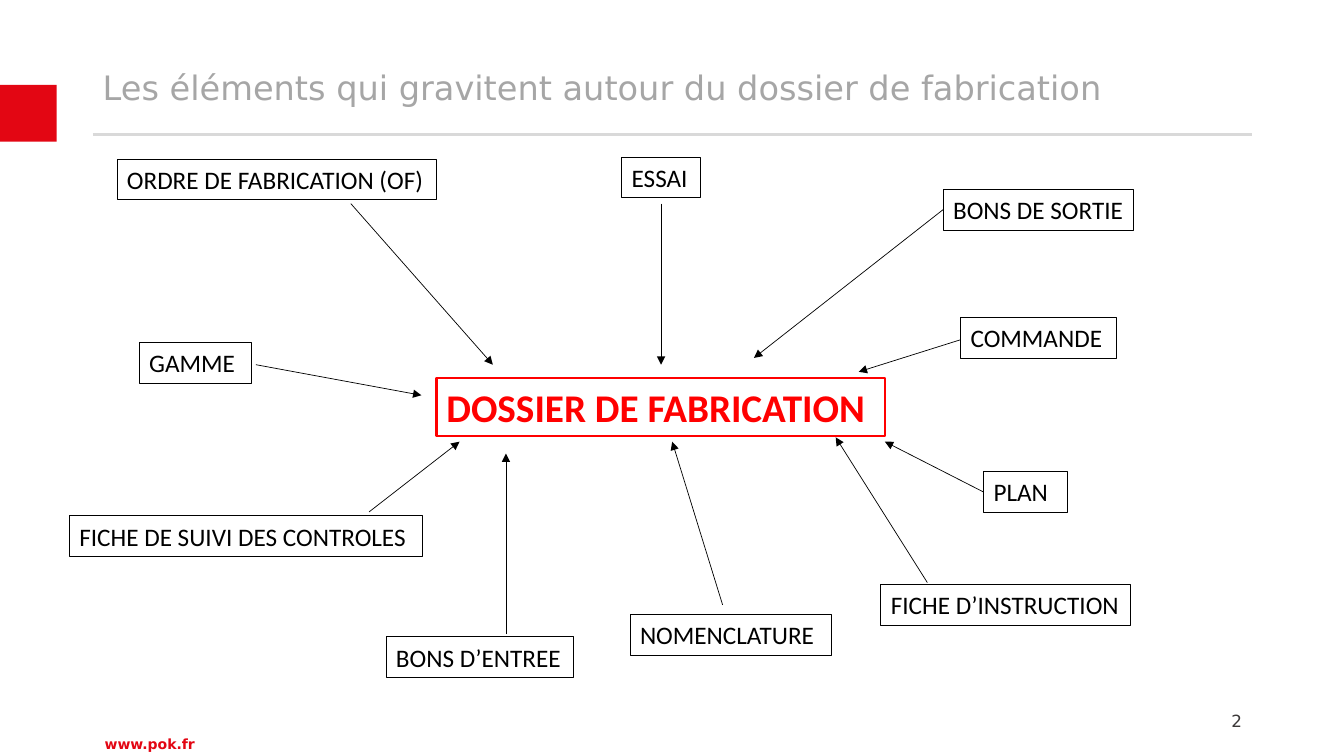
"""Builds the slide on the elements that surround the manufacturing file."""
from dataclasses import dataclass

from lxml.etree import SubElement
from pptx import Presentation
from pptx.dml.color import RGBColor as Rgb
from pptx.enum.shapes import MSO_CONNECTOR as Link, MSO_SHAPE as Preset
from pptx.enum.text import MSO_ANCHOR as Anchor, PP_ALIGN as Align
from pptx.oxml.ns import qn
from pptx.util import Cm, Pt

TITLE = "Les éléments qui gravitent autour du dossier de fabrication"
WEBSITE = "www.pok.fr"
PAGE = "2"
CENTRE = ("DOSSIER DE FABRICATION", (11, 9.53, 11.3, 1.45))

# label, (left, top, width), arrow start, arrow end
ELEMENTS = [
    ("ORDRE DE FABRICATION (OF)", (2.95, 4.01, 8.05), (8.84, 5.13), (12.42, 9.19)),
    ("GAMME", (3.51, 8.64, 2.84), (6.45, 9.19), (10.62, 9.96)),
    ("FICHE DE SUIVI DES CONTROLES", (1.75, 13, 8.89), (9.3, 12.9), (11.58, 11.13)),
    ("ESSAI", (15.67, 3.96, 1.98), (16.66, 5.13), (16.66, 9.19)),
    ("BONS DE SORTIE", (23.77, 4.78, 4.8), (23.77, 5.28), (19, 9.02)),
    ("BONS D’ENTREE", (9.73, 16.05, 4.72), (12.75, 15.98), (12.75, 11.43)),
    ("COMMANDE", (24.21, 8, 3.94), (24.21, 8.56), (21.64, 9.37)),
    ("PLAN", (24.79, 11.89, 2.11), (24.79, 12.4), (22.3, 11.13)),
    ("FICHE D’INSTRUCTION", (22.2, 14.73, 6.3), (23.37, 14.68), (21.06, 11.02)),
    ("NOMENCLATURE", (15.88, 15.49, 5.08), (18.21, 15.24), (16.94, 11.13)),
]
LABEL_HEIGHT = 1.03


@dataclass(frozen=True)
class Theme:
    brand: str = "E30613"
    accent: str = "FF0000"
    ink: str = "000000"
    title: str = "A6A6A6"
    rule: str = "D9D9D9"
    page: str = "3B3838"
    heading_font: str = "DejaVu Sans"
    label_font: str = "Calibri"
    title_size: int = 24
    centre_size: int = 28
    label_size: int = 18
    page_size: int = 12
    website_size: int = 10


THEME = Theme()


def add_text(slide, text, place, *, size, color, font=THEME.heading_font, bold=False,
             align=Align.LEFT, anchor=Anchor.TOP, spacing=None, border=None):
    box = slide.shapes.add_textbox(*map(Cm, place))
    if border:
        box.line.color.rgb = Rgb.from_string(color)
        box.line.width = Pt(border)
    frame = box.text_frame
    frame.word_wrap = True
    frame.vertical_anchor = anchor
    if align == Align.LEFT:
        frame.margin_right = 0
    paragraph = frame.paragraphs[0]
    paragraph.alignment = align
    if spacing:
        paragraph.line_spacing = spacing
    run = paragraph.add_run()
    run.text = text
    run.font.name = font
    run.font.size = Pt(size)
    run.font.bold = bold
    run.font.color.rgb = Rgb.from_string(color)


def add_line(slide, start, end, color, width, arrow=False):
    line = slide.shapes.add_connector(Link.STRAIGHT, *map(Cm, start + end))
    line.line.color.rgb = Rgb.from_string(color)
    line.line.width = Pt(width)
    if arrow:
        SubElement(line.line._get_or_add_ln(), qn("a:tailEnd"), type="triangle")
    SubElement(line._element.spPr, qn("a:effectLst"))


def add_frame(slide):
    marker = slide.shapes.add_shape(Preset.RECTANGLE, *map(Cm, (0, 2.14, 1.43, 1.43)))
    marker.shadow.inherit = False
    marker.fill.solid()
    marker.fill.fore_color.rgb = Rgb.from_string(THEME.brand)
    marker.line.fill.background()
    add_text(slide, WEBSITE, (2.16, 18.42, 3.23, 0.69), size=THEME.website_size,
             color=THEME.brand, bold=True, align=Align.CENTER)
    add_line(slide, (2.34, 3.39), (31.55, 3.39), THEME.rule, 1.5)
    add_text(slide, PAGE, (23.93, 17.65, 7.62, 1.02), size=THEME.page_size,
             color=THEME.page, align=Align.RIGHT, anchor=Anchor.MIDDLE)
    add_text(slide, TITLE, (2.34, 1.22, 29.21, 2.06), size=THEME.title_size,
             color=THEME.title, anchor=Anchor.MIDDLE, spacing=0.9)


def add_diagram(slide):
    centre, place = CENTRE
    add_text(slide, centre, place, size=THEME.centre_size, color=THEME.accent,
             font=THEME.label_font, bold=True, border=1.5)
    for label, corner_and_width, start, end in ELEMENTS:
        add_text(slide, label, (*corner_and_width, LABEL_HEIGHT), size=THEME.label_size,
                 color=THEME.ink, font=THEME.label_font, border=0.75)
        add_line(slide, start, end, THEME.ink, 0.5, arrow=True)


def main():
    deck = Presentation()
    deck.slide_width, deck.slide_height = Cm(33.87), Cm(19.05)
    slide = deck.slides.add_slide(deck.slide_layouts[6])
    add_frame(slide)
    add_diagram(slide)
    deck.save("out.pptx")


if __name__ == "__main__":
    main()
